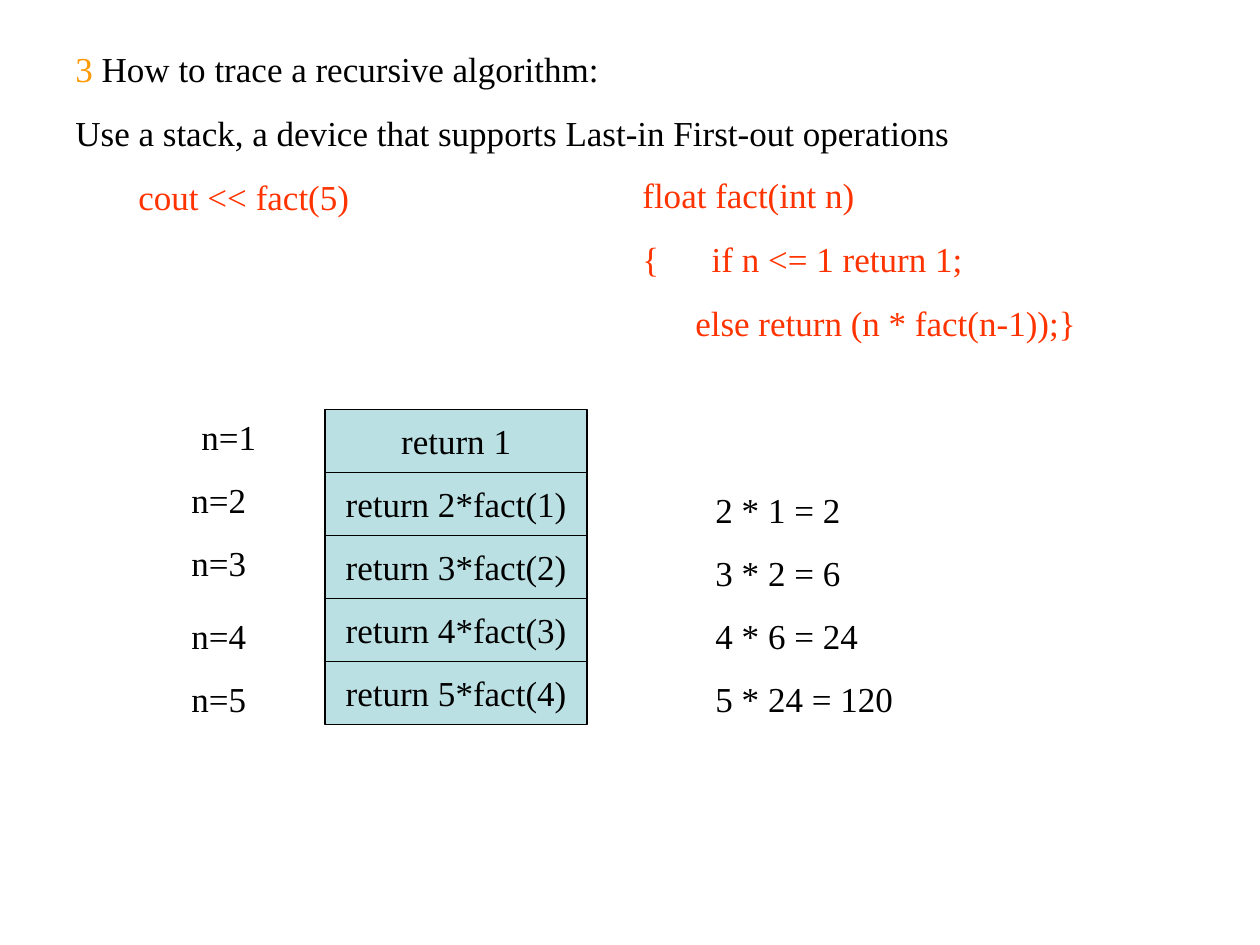
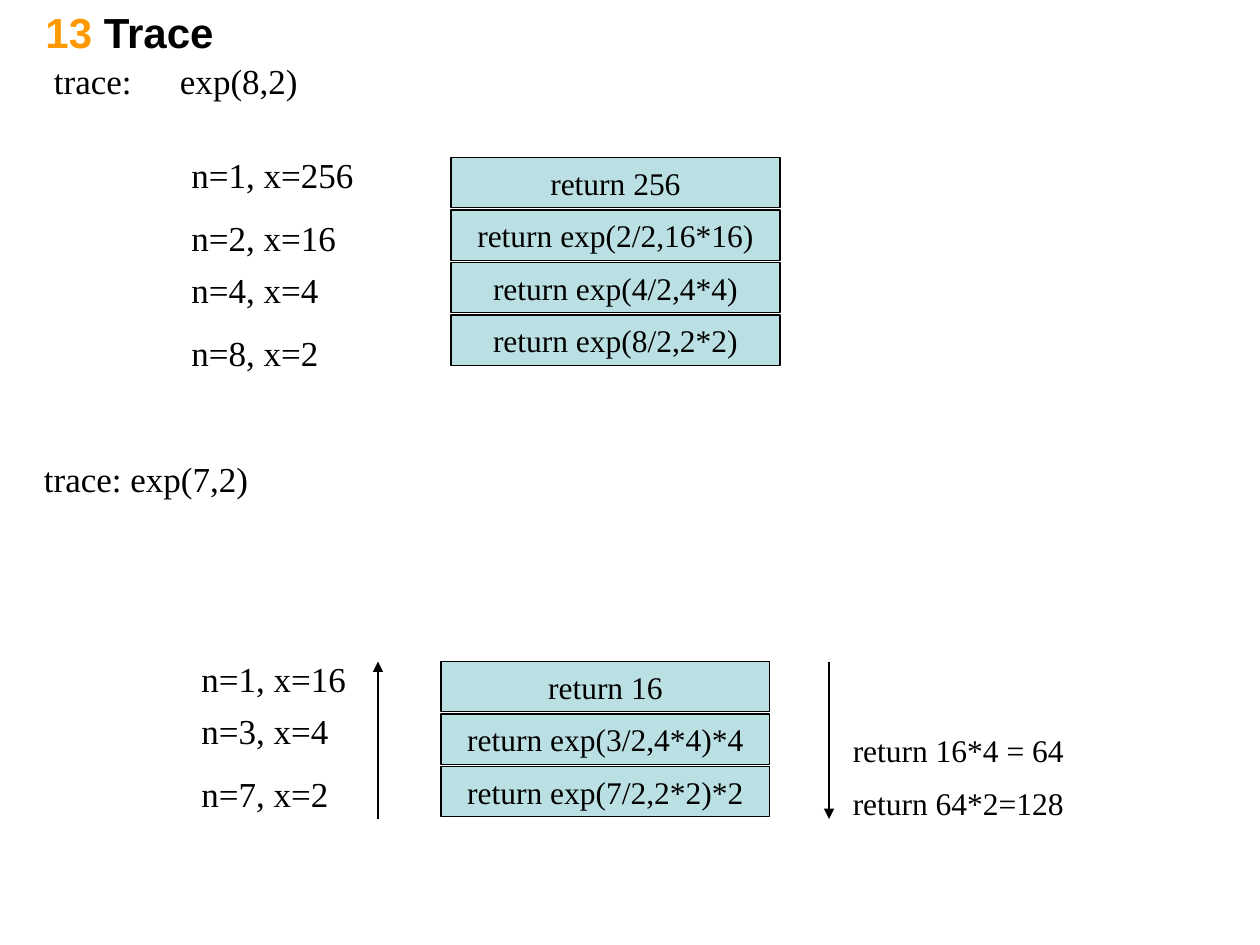
from lxml.etree import SubElement
from pptx import Presentation
from pptx.dml.color import RGBColor
from pptx.enum.shapes import MSO_CONNECTOR, MSO_SHAPE
from pptx.enum.text import MSO_ANCHOR, PP_ALIGN
from pptx.oxml.ns import qn
from pptx.util import Inches, Pt

BLACK = RGBColor(0x00, 0x00, 0x00)
ORANGE = RGBColor(0xFF, 0x99, 0x00)
RED = RGBColor(0xFF, 0x33, 0x00)
PALE_BLUE = RGBColor(0xBB, 0xE0, 0xE3)
BODY_FONT = "Times New Roman"
TITLE_FONT = "Arial"
LINE_WIDTH = Pt(0.75)


class Deck:
    def __init__(self):
        self.prs = Presentation()
        self.prs.slide_width = Inches(10)
        self.prs.slide_height = Inches(7.5)
        self.s = None

    def new_slide(self):
        self.s = self.prs.slides.add_slide(self.prs.slide_layouts[6])

    def style(self, r, size=20, color=BLACK, font=BODY_FONT, bold=False):
        r.font.size = Pt(size)
        r.font.name = font
        r.font.bold = bold
        r.font.color.rgb = color

    def text(self, x, y, w, h, lines, size=20, color=BLACK, font=BODY_FONT,
             bold=False, anchor=MSO_ANCHOR.TOP):
        tf = self.s.shapes.add_textbox(Inches(x), Inches(y), Inches(w), Inches(h)).text_frame
        tf.word_wrap = True
        tf.vertical_anchor = anchor
        for i, line in enumerate(lines):
            p = tf.add_paragraph() if i else tf.paragraphs[0]
            p.space_before = Pt(12.5 if i else 0)
            parts = [(line, color)] if isinstance(line, str) else line
            for part, part_color in parts:
                r = p.add_run()
                r.text = part
                self.style(r, size, part_color, font, bold)
        return tf

    def title(self, parts):
        self.text(0.17, 0, 8.5, 0.5, [parts], 24, font=TITLE_FONT, bold=True,
                  anchor=MSO_ANCHOR.MIDDLE)

    def indent(self, p, left, first=0):
        pPr = p._p.get_or_add_pPr()
        pPr.set("marL", str(Inches(left)))
        pPr.set("indent", str(Inches(first)))

    def labels(self, x, w, tops, texts, size=20):
        for y, text in zip(tops, texts):
            self.text(x, y, w, 0.44, [text], size)

    def stack(self, x, y, w, h, step, calls, size):
        for i, call in enumerate(calls):
            sp = self.s.shapes.add_shape(MSO_SHAPE.RECTANGLE, Inches(x), Inches(y + i * step),
                                         Inches(w), Inches(h))
            sp.shadow.inherit = False
            sp.fill.solid()
            sp.fill.fore_color.rgb = PALE_BLUE
            sp.line.color.rgb = BLACK
            sp.line.width = LINE_WIDTH
            tf = sp.text_frame
            tf.text = call
            tf.word_wrap = False
            tf.vertical_anchor = MSO_ANCHOR.MIDDLE
            p = tf.paragraphs[0]
            p.alignment = PP_ALIGN.CENTER
            self.style(p.runs[0], size)

    def arrow(self, x, start, end):
        line = self.s.shapes.add_connector(MSO_CONNECTOR.STRAIGHT, Inches(x), Inches(start),
                                           Inches(x), Inches(end))
        line.line.color.rgb = BLACK
        line.line.width = LINE_WIDTH
        SubElement(line.line._get_or_add_ln(), qn("a:tailEnd"), type="triangle")
        SubElement(line._element.spPr, qn("a:effectLst"))


def factorial_slide(deck):
    deck.new_slide()
    deck.text(0.5, 0.33, 9.08, 1.96, [
        [("3", ORANGE), (" How to trace a recursive algorithm:", BLACK)],
        "Use a stack, a device that supports Last-in First-out operations",
        [("\tcout << fact(5)", RED)],
    ])
    code = deck.text(5, 1.33, 4.17, 1.45, [
        "float fact(int n)",
        "{\tif n <= 1 return 1;",
        "else return (n * fact(n-1));}",
    ], color=RED)
    deck.indent(code.paragraphs[1], 0.55, -0.55)
    deck.indent(code.paragraphs[2], 0.42)

    calls = ["return 1"] + [f"return {n}*fact({n - 1})" for n in range(2, 6)]
    deck.stack(2.58, 3.25, 2.08, 0.5, 0.5, calls, 20)
    deck.labels(1.5, 1, [3.25], ["n=1"])
    deck.labels(1.42, 1, [3.75, 4.25, 4.83, 5.33], [f"n={n}" for n in range(2, 6)])
    products = ["2 * 1 = 2", "3 * 2 = 6", "4 * 6 = 24", "5 * 24 = 120"]
    deck.labels(5.58, 1.92, [3.83 + 0.5 * i for i in range(4)], products)


def power_slide(deck):
    step = 5 / 12
    deck.new_slide()
    deck.title([(" ", BLACK), ("13", ORANGE), (" Trace", BLACK)])

    deck.text(0.33, 0.42, 9.08, 0.44, ["trace:\texp(8,2)"])
    deck.labels(1.42, 1.67, [1.17, 1.67, 2.08, 2.58],
                ["n=1, x=256", "n=2, x=16", "n=4, x=4", "n=8, x=2"])
    deck.stack(3.58, 1.25, 2.61, 0.4, step,
               ["return 256", "return exp(2/2,16*16)", "return exp(4/2,4*4)",
                "return exp(8/2,2*2)"], 18)

    deck.text(0.25, 3.58, 8.25, 0.44, ["trace: exp(7,2)"])
    deck.labels(1.5, 1.67, [5.17, 5.58, 6.08], ["n=1, x=16", "n=3, x=4", "n=7, x=2"])
    deck.stack(3.5, 5.25, 2.61, 0.4, step,
               ["return 16", "return exp(3/2,4*4)*4", "return exp(7/2,2*2)*2"], 18)
    deck.labels(6.67, 3, [5.75, 6.17], ["return 16*4 = 64", "return 64*2=128"], 18)
    deck.arrow(6.58, 5.25, 6.5)
    deck.arrow(3, 6.5, 5.25)


def main():
    deck = Deck()
    factorial_slide(deck)
    power_slide(deck)
    deck.prs.save("out.pptx")


if __name__ == "__main__":
    main()
